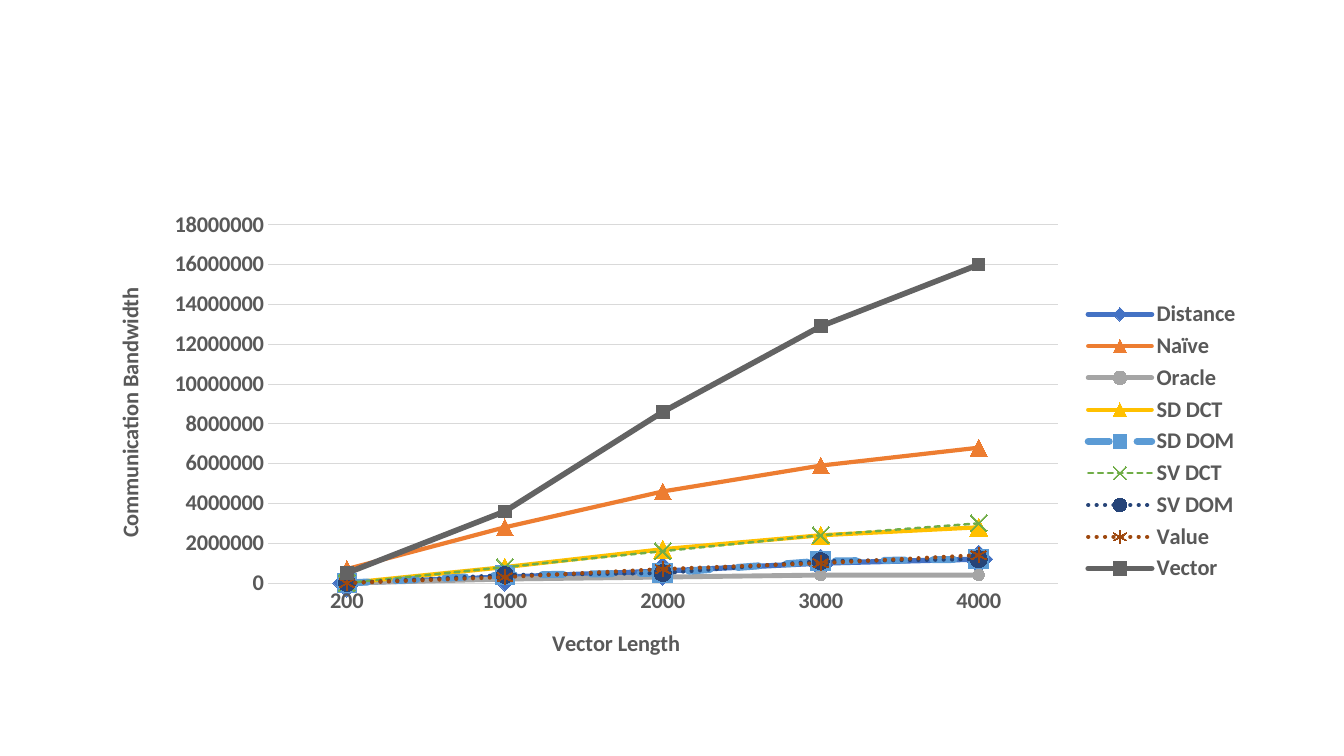
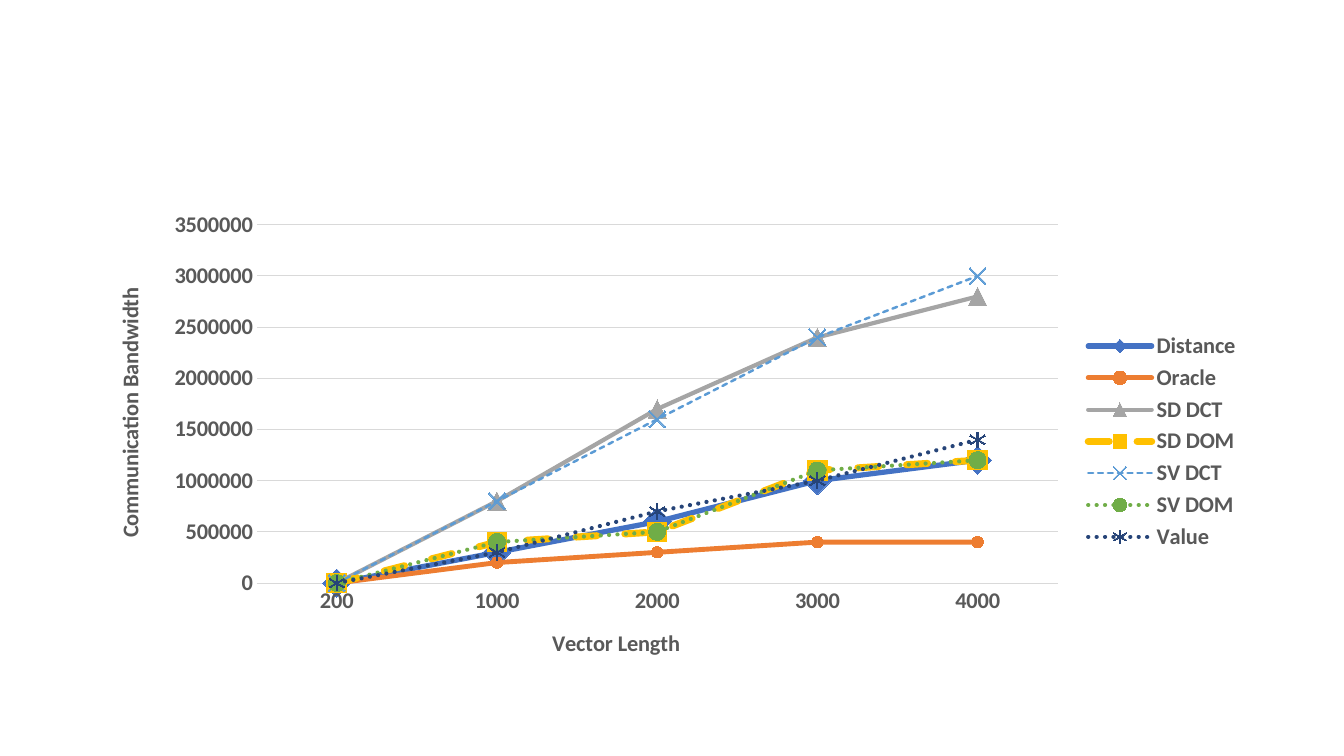
"""Build two line charts of communication bandwidth by vector length."""
import dataclasses

import pptx
import pptx.chart.data
import pptx.dml.color
import pptx.enum.chart
import pptx.enum.dml
import pptx.util

Marker = pptx.enum.chart.XL_MARKER_STYLE
Dash = pptx.enum.dml.MSO_LINE


@dataclasses.dataclass(frozen=True)
class Theme:
    """Colours, type and grid shared by all slides."""
    font: str = "Calibri"
    size: int = 16
    text: str = "595959"
    rule: str = "D9D9D9"
    rule_width: float = 0.75
    palette: tuple = ("4472C4", "ED7D31", "A5A5A5", "FFC000", "5B9BD5",
                      "70AD47", "264478", "9E480E", "636363")
    columns: int = 29
    rows: int = 15


@dataclasses.dataclass(frozen=True)
class Curve:
    """One measured method and the way its line is drawn."""
    name: str
    values: tuple
    width: float
    marker: Marker
    marker_size: int
    dash: Dash = Dash.SOLID


LENGTHS = ("200", "1000", "2000", "3000", "4000")
MILLION = 1_000_000
CURVES = (
    Curve("Distance", (0, 0.3, 0.6, 1.0, 1.2), 3.75, Marker.DIAMOND, 20),
    Curve("Naïve", (0.7, 2.8, 4.6, 5.9, 6.8), 3, Marker.TRIANGLE, 12),
    Curve("Oracle", (0, 0.2, 0.3, 0.4, 0.4), 3.5, Marker.CIRCLE, 8),
    Curve("SD DCT", (0, 0.8, 1.7, 2.4, 2.8), 3, Marker.TRIANGLE, 13),
    Curve("SD DOM", (0, 0.4, 0.5, 1.1, 1.2), 5, Marker.SQUARE, 14, Dash.DASH),
    Curve("SV DCT", (0, 0.8, 1.6, 2.4, 3.0), 1.75, Marker.X, 12, Dash.SQUARE_DOT),
    Curve("SV DOM", (0, 0.4, 0.5, 1.1, 1.2), 3, Marker.CIRCLE, 12, Dash.ROUND_DOT),
    Curve("Value", (0, 0.3, 0.7, 1.0, 1.4), 3, Marker.STAR, 11, Dash.ROUND_DOT),
    Curve("Vector", (0.5, 3.6, 8.6, 12.9, 16.0), 4, Marker.SQUARE, 9),
)


def assign(target, values):
    """Set every attribute named in a dict of format values."""
    for name, value in values.items():
        setattr(target, name, value)


class Builder:
    """Holds the deck, its theme and the current page."""

    def __init__(self, theme):
        """Start an empty wide deck."""
        self.theme = theme
        self.deck = pptx.Presentation()
        assign(self.deck, {"slide_width": pptx.util.Inches(13.33),
                           "slide_height": pptx.util.Inches(7.5)})
        self.page = None

    def new_page(self):
        """Add a blank page and make it current."""
        self.page = self.deck.slides.add_slide(self.deck.slide_layouts[6])

    def place(self, left, top, width, height):
        """Turn columns and rows into lengths."""
        column = self.deck.slide_width / self.theme.columns
        row = self.deck.slide_height / self.theme.rows
        return [round(length) for length in
                (left * column, top * row, width * column, height * row)]

    def style_font(self, font):
        """Apply the shared chart type style."""
        assign(font, {"name": self.theme.font, "bold": True,
                      "size": pptx.util.Pt(self.theme.size)})
        self.paint(font.color, self.theme.text)

    def paint(self, color, value):
        """Set a colour from its hex value."""
        color.rgb = pptx.dml.color.RGBColor.from_string(value)

    def style_rule(self, line):
        """Draw a thin axis or grid line."""
        self.paint(line.color, self.theme.rule)
        line.width = pptx.util.Pt(self.theme.rule_width)

    def style_axis(self, axis, title):
        """Format an axis and write its title."""
        tick = pptx.enum.chart.XL_TICK_MARK.NONE
        assign(axis, {"has_title": True, "major_tick_mark": tick,
                      "minor_tick_mark": tick})
        self.style_font(axis.tick_labels.font)
        para = axis.axis_title.text_frame.paragraphs[0]
        span = para.add_run()
        span.text = title
        self.style_font(span.font)

    def style_curve(self, series, curve, color):
        """Draw a series with its line, dash and marker."""
        series.smooth = False
        line = series.format.line
        self.paint(line.color, color)
        assign(line, {"width": pptx.util.Pt(curve.width), "dash_style": curve.dash})
        for outline in series._element.xpath("./c:spPr/a:ln"):
            outline.set("cap", "rnd")
        marker = series.marker
        assign(marker, {"style": curve.marker, "size": curve.marker_size})
        if curve.marker in (Marker.X, Marker.STAR):
            marker.format.fill.background()
        else:
            marker.format.fill.solid()
            self.paint(marker.format.fill.fore_color, color)
        self.paint(marker.format.line.color, color)
        marker.format.line.width = pptx.util.Pt(self.theme.rule_width)

    def line_chart(self, curves, maximum, step):
        """Chart bandwidth against vector length."""
        data = pptx.chart.data.CategoryChartData(number_format="General")
        data.categories = LENGTHS
        for curve in curves:
            data.add_series(curve.name, [round(value * MILLION) for value in curve.values])
        chart = self.page.shapes.add_chart(
            pptx.enum.chart.XL_CHART_TYPE.LINE_MARKERS,
            *self.place(2, 4, 25, 9.52), data).chart
        assign(chart, {"has_title": False, "has_legend": True})
        self.style_font(chart.font)
        chart.plots[0].vary_by_categories = False
        assign(chart.legend, {"position": pptx.enum.chart.XL_LEGEND_POSITION.RIGHT,
                              "include_in_layout": False})
        self.style_font(chart.legend.font)
        self.style_axis(chart.category_axis, "Vector Length")
        self.style_rule(chart.category_axis.format.line)
        axis = chart.value_axis
        self.style_axis(axis, "Communication Bandwidth")
        assign(axis, {"minimum_scale": 0, "maximum_scale": maximum,
                      "major_unit": step, "has_major_gridlines": True})
        axis.format.line.fill.background()
        self.style_rule(axis.major_gridlines.format.line)
        for series, curve, color in zip(chart.plots[0].series, curves, self.theme.palette):
            self.style_curve(series, curve, color)


def main():
    """Chart all methods, then the economical ones on a finer scale."""
    builder = Builder(Theme())
    economical = [curve for curve in CURVES if curve.name not in ("Naïve", "Vector")]
    for curves, maximum, step in ((CURVES, 18 * MILLION, 2 * MILLION),
                                  (economical, 3_500_000, 500_000)):
        builder.new_page()
        builder.line_chart(curves, maximum, step)
    builder.deck.save("out.pptx")


main()
